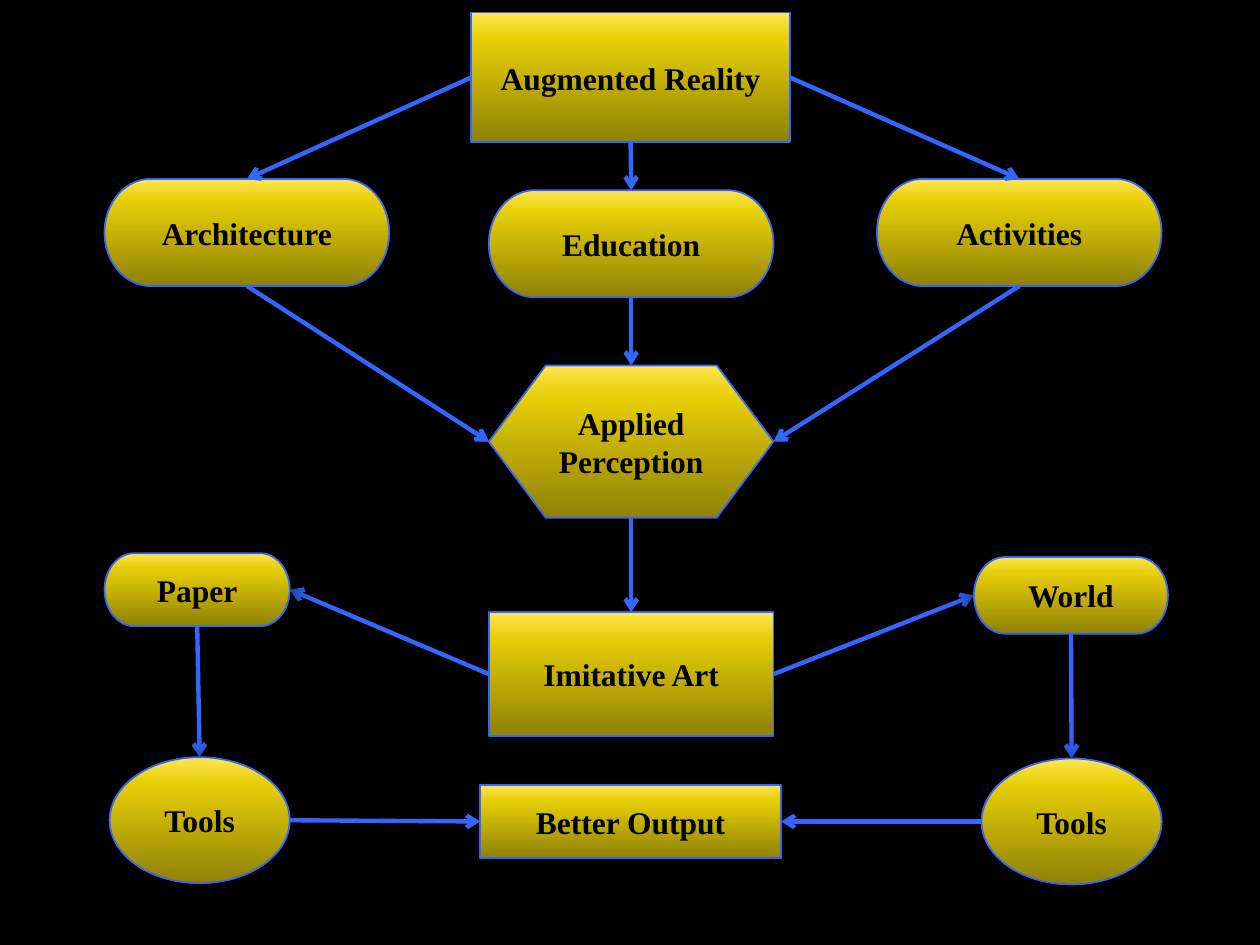
"""Build a flowchart of augmented reality, applied perception and imitative art."""
import copy

import lxml.etree
import pptx
import pptx.dml.color
import pptx.enum.dml
import pptx.enum.shapes
import pptx.enum.text
import pptx.oxml.ns
import pptx.util

Inches, Pt = pptx.util.Inches, pptx.util.Pt
qn = pptx.oxml.ns.qn
Kind = pptx.enum.shapes.MSO_SHAPE
BLUE, BLACK = "3366FF", "000000"
STOPS = [(0, "8F8105"), (0.8, "E7CF08"), (1, "FFE552")]
TOP, LEFT, BOTTOM, RIGHT = range(4)


def color(code):
    return pptx.dml.color.RGBColor.from_string(code)


def add(parent, tag, **attrs):
    return lxml.etree.SubElement(parent, qn(tag), attrs)


deck = pptx.Presentation()
deck.slide_width, deck.slide_height = Inches(10), Inches(7.5)
slide = deck.slides.add_slide(deck.slide_layouts[6])
slide.background.fill.solid()
slide.background.fill.fore_color.rgb = color(BLACK)

box, pill = Kind.FLOWCHART_PROCESS, Kind.FLOWCHART_TERMINATOR
hexa, oval = Kind.FLOWCHART_PREPARATION, Kind.FLOWCHART_CONNECTOR
nodes = [
    ("reality", "Augmented Reality", box, 3.74, 0.1, 2.53, 1.03),
    ("build", "Architecture", pill, 0.83, 1.42, 2.26, 0.85),
    ("teach", "Education", pill, 3.88, 1.51, 2.26, 0.85),
    ("active", "Activities", pill, 6.96, 1.42, 2.26, 0.85),
    ("applied", "Applied Perception", hexa, 3.88, 2.9, 2.26, 1.21),
    ("art", "Imitative Art", box, 3.88, 4.86, 2.26, 0.98),
    ("paper", "Paper", pill, 0.83, 4.39, 1.47, 0.58),
    ("world", "World", pill, 7.73, 4.42, 1.54, 0.61),
    ("left tools", "Tools", oval, 0.87, 6.01, 1.43, 1),
    ("right tools", "Tools", oval, 7.79, 6.02, 1.43, 1),
    ("output", "Better Output", box, 3.81, 6.23, 2.39, 0.58),
]
shapes = {}
for name, label, kind, left, top, width, height in nodes:
    shape = slide.shapes.add_shape(
        kind, Inches(left), Inches(top), Inches(width), Inches(height))
    shapes[name] = shape
    shape.fill.gradient()
    shape.fill.gradient_angle = 90
    stops = shape._element.spPr.find(".//" + qn("a:gsLst"))
    stops.append(copy.deepcopy(stops[-1]))
    for stop, (place, code) in zip(shape.fill.gradient_stops, STOPS):
        stop.position = place
        stop.color.rgb = color(code)
    shape.line.color.rgb = color(BLUE)
    shape.line.width = Pt(1)
    shape.shadow.inherit = False
    glow = add(shape._element.spPr.find(qn("a:effectLst")), "a:outerShdw",
               blurRad=str(Pt(18)), dist=str(Pt(3)), dir="5400000",
               algn="ctr", rotWithShape="0")
    add(add(glow, "a:srgbClr", val=BLACK), "a:alpha", val="80000")
    frame = shape.text_frame
    frame.word_wrap = True
    frame.vertical_anchor = pptx.enum.text.MSO_ANCHOR.MIDDLE
    para = frame.paragraphs[0]
    para.alignment = pptx.enum.text.PP_ALIGN.CENTER
    run = para.add_run()
    run.text = label
    run.font.name = "Times New Roman"
    run.font.size = Pt(18)
    run.font.bold = True
    run.font.color.rgb = color(BLACK)

links = [
    ("reality", BOTTOM, "teach", TOP),
    ("teach", BOTTOM, "applied", TOP),
    ("reality", LEFT, "build", TOP),
    ("reality", RIGHT, "active", TOP),
    ("build", BOTTOM, "applied", LEFT),
    ("active", BOTTOM, "applied", RIGHT),
    ("applied", BOTTOM, "art", TOP),
    ("art", LEFT, "paper", RIGHT),
    ("art", RIGHT, "world", LEFT),
    ("paper", BOTTOM, "left tools", TOP),
    ("world", BOTTOM, "right tools", TOP),
    ("right tools", LEFT, "output", RIGHT),
    ("left tools", RIGHT, "output", LEFT),
]
covers = {"paper", "world", "left tools", "right tools"}
sides = {TOP: (0.5, 0), LEFT: (0, 0.5), BOTTOM: (0.5, 1), RIGHT: (1, 0.5)}
for source, start, target, end in links:
    ends = [(shapes[source], start), (shapes[target], end)]
    points = []
    for shape, side in ends:
        across, down = sides[side]
        points += [int(shape.left + across * shape.width),
                   int(shape.top + down * shape.height)]
    arrow = slide.shapes.add_connector(
        pptx.enum.shapes.MSO_CONNECTOR.STRAIGHT, *points)
    for (shape, side), join in zip(ends, (arrow.begin_connect, arrow.end_connect)):
        if shape.auto_shape_type != oval or side == TOP:
            join(shape, side)
    arrow.line.color.rgb = color(BLUE)
    arrow.line.width = Pt(2.5)
    add(arrow.line._get_or_add_ln(), "a:tailEnd", type="arrow")
    add(arrow._element.spPr, "a:effectLst")
    if target in covers:
        shapes[target]._element.addprevious(arrow._element)

deck.save("out.pptx")
